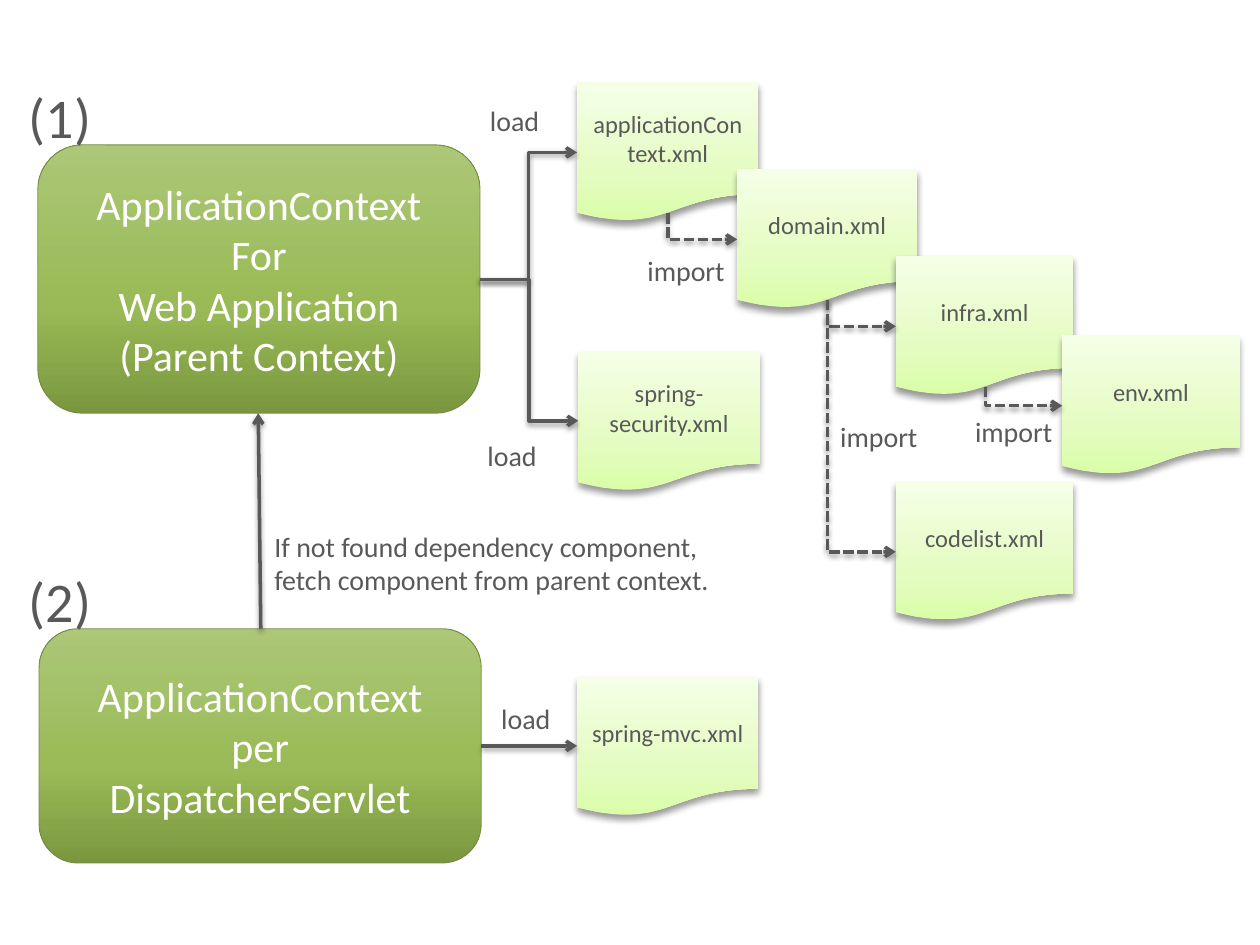
from copy import deepcopy

from lxml.etree import SubElement
from pptx import Presentation
from pptx.dml.color import RGBColor
from pptx.enum.dml import MSO_LINE
from pptx.enum.shapes import MSO_CONNECTOR, MSO_SHAPE
from pptx.enum.text import MSO_ANCHOR, MSO_AUTO_SIZE, PP_ALIGN
from pptx.oxml.ns import qn
from pptx.util import Inches, Pt

FONT = "Calibri"
WHITE = RGBColor(0xFF, 0xFF, 0xFF)
GRAY = RGBColor(0x59, 0x59, 0x59)
OLIVE = RGBColor(0x73, 0x8A, 0x42)
CONTEXT_STOPS = (
    (0, RGBColor(0x7A, 0x97, 0x3F)),
    (0.4, RGBColor(0x99, 0xBA, 0x56)),
    (1, RGBColor(0xAC, 0xC7, 0x77)),
)
FILE_STOPS = (
    (0, RGBColor(0xDA, 0xFD, 0xA7)),
    (0.35, RGBColor(0xE4, 0xFC, 0xC2)),
    (1, RGBColor(0xF5, 0xFF, 0xE7)),
)
FILE_HEIGHT = 1.11


def write_text(shape, text, size, color=GRAY, align=PP_ALIGN.LEFT):
    """Fill a shape with one paragraph for each line of text."""
    frame = shape.text_frame
    frame.text = text
    for para in frame.paragraphs:
        para.alignment = align
        for span in para.runs:
            span.font.name = FONT
            span.font.size = Pt(size)
            span.font.color.rgb = color
    return frame


def fill_upward(shape, stops):
    """Give a shape a gradient that runs from bottom to top."""
    shape.fill.gradient()
    shape.fill.gradient_angle = 90
    stop_list = shape._element.spPr.find(qn("a:gradFill")).find(qn("a:gsLst"))
    stop_list.append(deepcopy(stop_list[-1]))
    for stop, (position, color) in zip(shape.fill.gradient_stops, stops):
        stop.position = position
        stop.color.rgb = color


def add_shadow(effects, blur, distance, opacity):
    """Add a black shadow that falls straight down."""
    shadow = SubElement(
        effects, qn("a:outerShdw"), blurRad=str(Pt(blur)),
        dist=str(Pt(distance)), dir="5400000", rotWithShape="0",
    )
    black = SubElement(shadow, qn("a:srgbClr"), val="000000")
    SubElement(black, qn("a:alpha"), val=str(opacity * 1000))


def add_block(page, kind, box, stops, text, size, color):
    """Place a gradient shape with centred text."""
    shape = page.shapes.add_shape(kind, *map(Inches, box))
    shape.shadow.inherit = False
    fill_upward(shape, stops)
    frame = write_text(shape, text, size, color, PP_ALIGN.CENTER)
    frame.vertical_anchor = MSO_ANCHOR.MIDDLE
    frame.word_wrap = True
    return shape


def add_context(page, box, text, number):
    """Place an application context and the number above its corner."""
    shape = add_block(page, MSO_SHAPE.ROUNDED_RECTANGLE, box, CONTEXT_STOPS, text, 24, WHITE)
    shape.line.color.rgb = OLIVE
    shape.line.width = Pt(0.5)
    add_label(page, (0.13, box[1] - 0.54, 0.7, 0.64), number, 32)


def add_file(page, left, top, width, name):
    """Place a configuration file."""
    box = (left, top, width, FILE_HEIGHT)
    shape = add_block(page, MSO_SHAPE.FLOWCHART_DOCUMENT, box, FILE_STOPS, name, 14, GRAY)
    shape.line.fill.background()
    add_shadow(shape._element.spPr.find(qn("a:effectLst")), 4, 3, 40)


def add_label(page, box, text, size=16):
    """Place a text box that does not wrap."""
    label = page.shapes.add_textbox(*map(Inches, box))
    frame = write_text(label, text, size)
    frame.word_wrap = False
    frame.auto_size = MSO_AUTO_SIZE.SHAPE_TO_FIT_TEXT


def add_arrow(page, start, end, kind=MSO_CONNECTOR.STRAIGHT):
    """Draw a gray arrow from start to end."""
    arrow = page.shapes.add_connector(kind, *map(Inches, start + end))
    arrow.line.color.rgb = GRAY
    arrow.line.width = Pt(2)
    properties = arrow._element.spPr
    SubElement(properties.find(qn("a:ln")), qn("a:tailEnd"), type="arrow")
    add_shadow(SubElement(properties, qn("a:effectLst")), 3.1, 1.6, 38)
    return arrow


def add_import(page, start, end):
    """Draw a dashed arrow that goes down and then right."""
    arrow = add_arrow(page, start, end, MSO_CONNECTOR.ELBOW)
    arrow.line.dash_style = MSO_LINE.SQUARE_DOT
    across, down = end[0] - start[0], end[1] - start[1]
    # The one-corner connector is turned, so its box swaps width and height.
    arrow.left = Inches(start[0] + (across - down) / 2)
    arrow.top = Inches(start[1] + (down - across) / 2)
    arrow.width, arrow.height = Inches(down), Inches(across)
    properties = arrow._element.spPr
    properties.find(qn("a:prstGeom")).set("prst", "bentConnector2")
    frame = properties.find(qn("a:xfrm"))
    frame.set("rot", "16200000")
    frame.set("flipH", "1")


def add_contexts(page):
    """Place both contexts and the link between them."""
    add_context(page, (0.3, 1.15, 3.51, 2.13),
                "ApplicationContext\nFor\nWeb Application\n(Parent Context)", "(1)")
    add_context(page, (0.31, 4.99, 3.51, 1.86),
                "ApplicationContext\nper\nDispatcherServlet", "(2)")
    add_arrow(page, (2.07, 4.99), (2.05, 3.28))
    add_label(page, (2.08, 4.15, 3.72, 0.64),
              "If not found dependency component,\nfetch component from parent context.")


def add_files(page):
    """Place the configuration files."""
    for left, top, width, name in (
        (4.58, 0.65, 1.44, "applicationContext.xml"),
        (5.85, 1.34, 1.43, "domain.xml"),
        (7.11, 2.03, 1.41, "infra.xml"),
        (8.43, 2.66, 1.41, "env.xml"),
        (4.59, 2.79, 1.44, "spring-security.xml"),
        (4.58, 5.37, 1.44, "spring-mvc.xml"),
        (7.11, 3.82, 1.41, "codelist.xml"),
    ):
        add_file(page, left, top, width, name)


def add_links(page):
    """Draw the load and import arrows with their labels."""
    parent = (3.81, 2.22)
    for end in ((4.58, 1.21), (4.59, 3.34)):
        add_arrow(page, parent, end, MSO_CONNECTOR.ELBOW)
    add_arrow(page, (3.82, 5.92), (4.58, 5.92))
    for start, end in (
        ((5.3, 1.69), (5.85, 1.9)),
        ((6.57, 2.38), (7.11, 2.59)),
        ((6.57, 2.38), (7.11, 4.38)),
        ((7.82, 3.07), (8.43, 3.22)),
    ):
        add_import(page, start, end)
    for left, top in ((3.79, 0.77), (3.77, 3.43), (3.88, 5.52)):
        add_label(page, (left, top, 0.6, 0.37), "load")
    for left, top in ((5.04, 1.96), (6.57, 3.28), (7.64, 3.24)):
        add_label(page, (left, top, 0.82, 0.37), "import")


def main():
    """Build the slide and save the deck."""
    deck = Presentation()
    deck.slide_width, deck.slide_height = Inches(10), Inches(7.5)
    page = deck.slides.add_slide(deck.slide_layouts[6])
    add_contexts(page)
    add_files(page)
    add_links(page)
    deck.save("out.pptx")


main()
